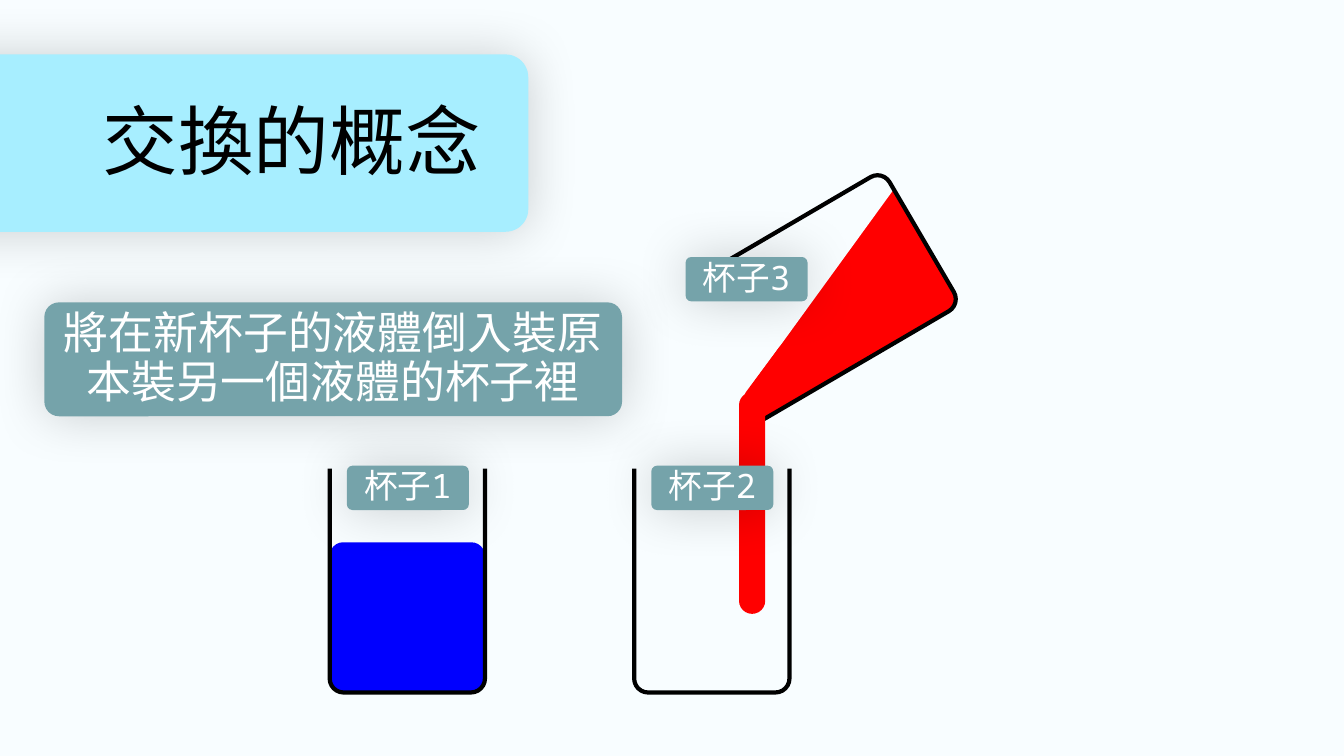
from lxml import etree
from pptx import Presentation
from pptx.dml.color import RGBColor
from pptx.enum.lang import MSO_LANGUAGE_ID
from pptx.enum.shapes import MSO_SHAPE
from pptx.enum.text import MSO_ANCHOR, PP_ALIGN
from pptx.oxml.ns import qn
from pptx.util import Inches, Pt

FONT = "Noto Sans Mono"
BACKGROUND, BANNER, TEAL = "F8FDFF", "A7EEFF", "75A3AA"
BLACK, WHITE, RED, BLUE = "000000", "FFFFFF", "FF0000", "0000FF"
CUP_CORNER, LABEL_CORNER, ROUND_END = 0.09, 0.128, 0.5
CUP_TILT = 239.7


def color(hex_string):
    return RGBColor.from_string(hex_string)


def add_block(slide, box, corner, fill=None, rotation=0,
              kind=MSO_SHAPE.ROUNDED_RECTANGLE):
    shape = slide.shapes.add_shape(kind, *map(Inches, box))
    shape.adjustments[0] = corner
    shape.rotation = rotation
    shape.shadow.inherit = False
    shape.line.fill.background()
    if fill:
        shape.fill.solid()
        shape.fill.fore_color.rgb = color(fill)
    else:
        shape.fill.background()
    return shape


def add_glass(slide, box, rotation=0):
    shape = add_block(slide, box, CUP_CORNER, rotation=rotation)
    shape.line.color.rgb = color(BLACK)
    shape.line.width = Pt(3)


def add_soft_shadow(shape):
    effects = shape._element.spPr.find(qn("a:effectLst"))
    shadow = etree.SubElement(effects, qn("a:outerShdw"), blurRad=str(Pt(38)),
                              dist="0", dir="0", algn="ctr", rotWithShape="0")
    shade = etree.SubElement(shadow, qn("a:srgbClr"), val=BLACK)
    etree.SubElement(shade, qn("a:alpha"), val="19000")


def write_text(shape, text, size, text_color, alignment):
    frame = shape.text_frame
    frame.word_wrap = True
    frame.vertical_anchor = MSO_ANCHOR.MIDDLE
    paragraph = frame.paragraphs[0]
    paragraph.alignment = alignment
    paragraph.line_spacing = 0.9
    run = paragraph.add_run()
    run.text = text
    run.font.size = Pt(size)
    run.font.name = FONT
    run.font.color.rgb = color(text_color)
    run.font.language_id = MSO_LANGUAGE_ID.TRADITIONAL_CHINESE
    etree.SubElement(run.font._element, qn("a:ea"), typeface=FONT)


def add_label(slide, box, text, size):
    shape = add_block(slide, box, LABEL_CORNER, TEAL)
    add_soft_shadow(shape)
    write_text(shape, text, size, WHITE, PP_ALIGN.CENTER)


def add_cup_label(slide, left, top, number):
    add_label(slide, (left, top, 1.21, 0.44), f"杯子{number}", 24)


def add_standing_cup(slide, left):
    add_glass(slide, (left, 4.48, 1.54, 2.39))
    # Background strip that opens the rim
    add_block(slide, (left - 0.23, 4.38, 2, 0.27), CUP_CORNER, BACKGROUND)


def add_pouring_cup(slide):
    add_block(slide, (7.42, 1.8, 1.54, 2.2), CUP_CORNER, RED, CUP_TILT)
    # Empty part above the slanted liquid surface
    add_block(slide, (6.26, 1.41, 2.41, 3.16), 0.567, BACKGROUND, 192.6,
              MSO_SHAPE.ISOSCELES_TRIANGLE)
    # Liquid at the lip
    add_block(slide, (7.53, 3.32, 0.35, 0.9), ROUND_END, RED, 36.5)
    add_glass(slide, (7.34, 1.76, 1.54, 2.39), CUP_TILT)
    # Open rim
    for top, width in ((3.14, 1.4), (3.33, 1.38)):
        add_block(slide, (6.26, top, width, 0.27), ROUND_END, BACKGROUND, CUP_TILT)
    # Falling stream
    add_block(slide, (7.33, 3.89, 0.26, 2.2), ROUND_END, RED)


def main():
    presentation = Presentation()
    presentation.slide_width = Inches(13.33)
    presentation.slide_height = Inches(7.5)
    slide = presentation.slides.add_slide(presentation.slide_layouts[6])
    slide.background.fill.solid()
    slide.background.fill.fore_color.rgb = color(BACKGROUND)

    # Title banner
    banner = add_block(slide, (-1.57, 0.54, 6.81, 1.76), LABEL_CORNER, BANNER)
    add_soft_shadow(banner)
    title = slide.shapes.add_textbox(*map(Inches, (0.92, 0.71, 11.5, 1.45)))
    write_text(title, "交換的概念", 54, BLACK, PP_ALIGN.LEFT)

    # Cup 1, holding the blue liquid
    add_block(slide, (3.27, 5.38, 1.54, 1.49), CUP_CORNER, BLUE)
    add_standing_cup(slide, 3.27)
    add_cup_label(slide, 3.44, 4.62, 1)

    # Cup 3 poured into cup 2
    add_standing_cup(slide, 6.29)
    add_pouring_cup(slide)
    add_cup_label(slide, 6.8, 2.55, 3)
    add_cup_label(slide, 6.46, 4.62, 2)

    # Explanation
    add_label(slide, (0.44, 3, 5.73, 1.13),
              "將在新杯子的液體倒入裝原本裝另一個液體的杯子裡", 32)

    presentation.save("out.pptx")


if __name__ == "__main__":
    main()
